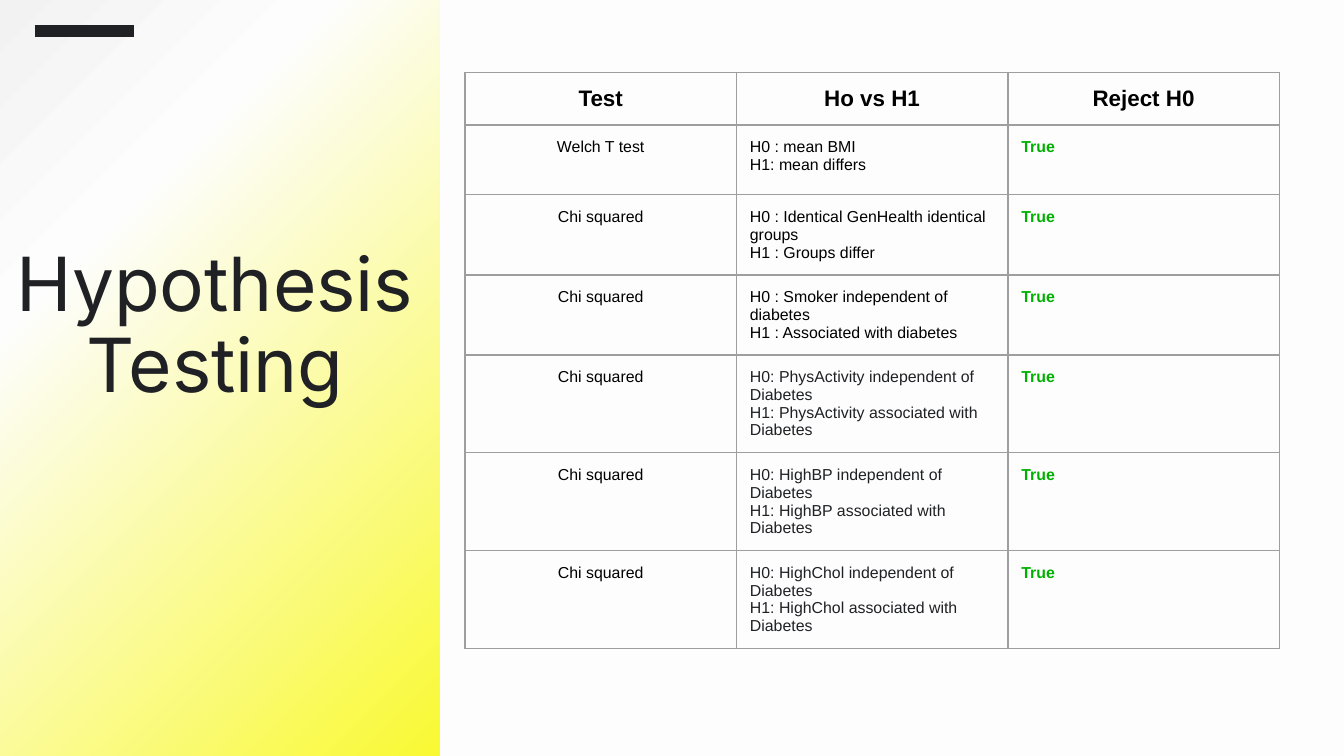
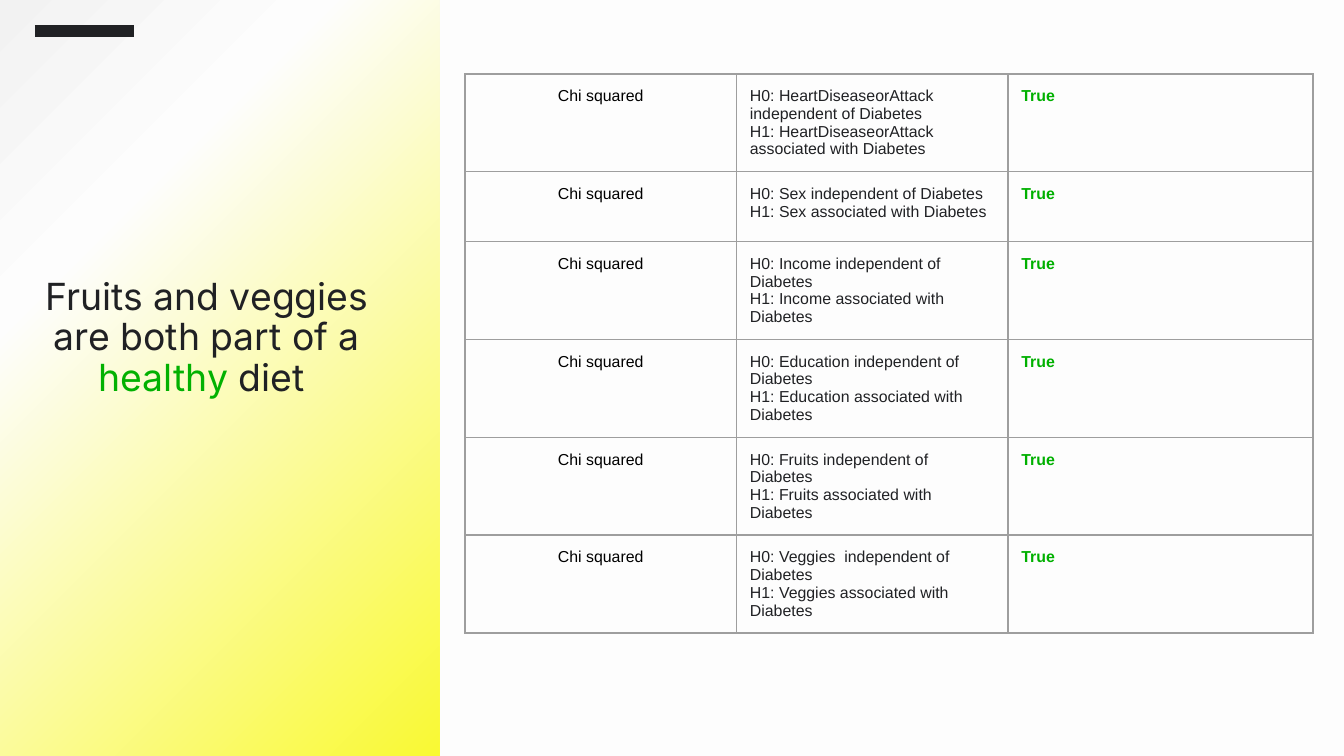
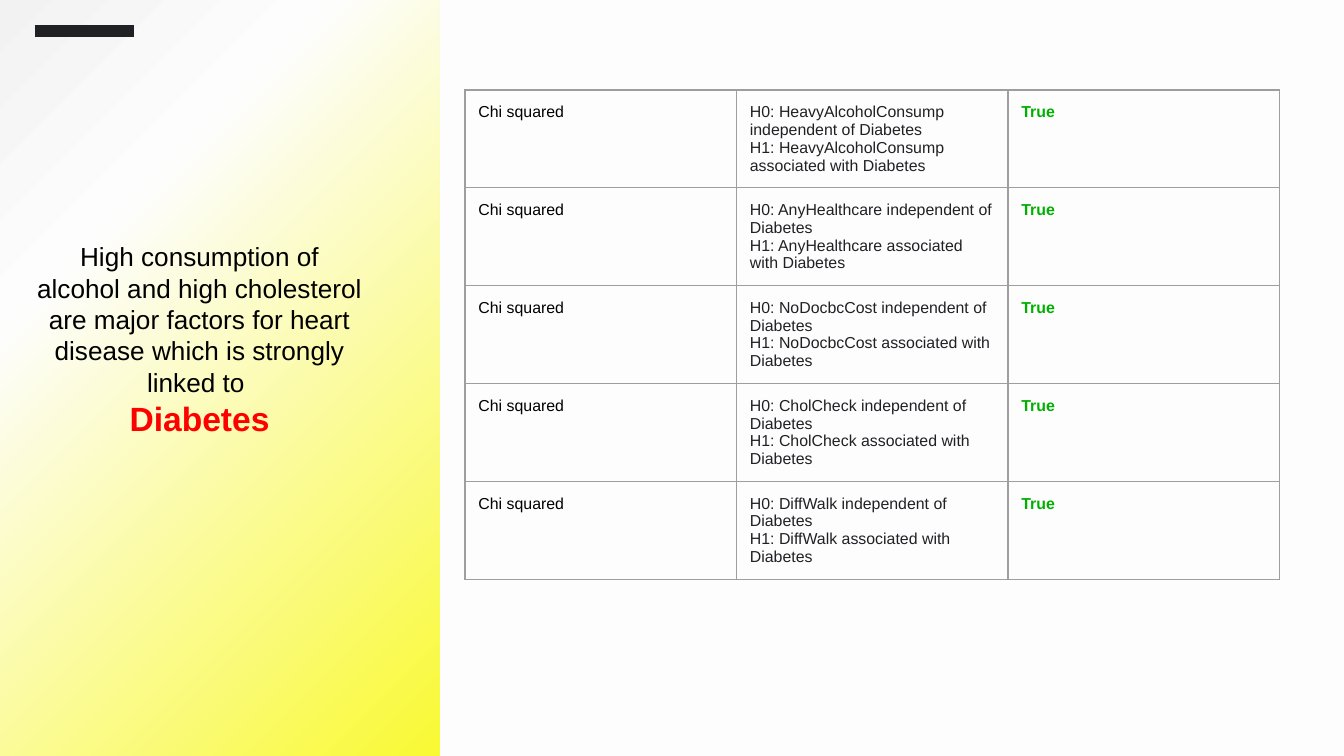
"""Build three hypothesis testing slides with result tables beside a gradient panel."""
import lxml.etree
import pptx
import pptx.dml.color
import pptx.enum.shapes
import pptx.enum.text
import pptx.oxml.ns
import pptx.util

Inches = pptx.util.Inches
Pt = pptx.util.Pt
qn = pptx.oxml.ns.qn
ALIGN = pptx.enum.text.PP_ALIGN

COLOURS = {
    "paper": "FDFDFD", "mist": "F2F2F2", "yellow": "F9F933", "ink": "202124",
    "black": "000000", "green": "00B000", "healthy": "02B101", "red": "FF0000",
    "grid": "9E9E9E",
}
PANEL_STOPS = [(0, "mist"), (28, "paper"), (100, "yellow")]
TITLE_FONT = "Inter"
BODY_FONT = "Arial"
COLUMN = 2.02
HEADER_HEIGHT = 0.39
ROW_HEIGHT = 0.52
HEADERS = ["Test", "Ho vs H1", "Reject H0"]


def child(parent, tag, **attributes):
    return lxml.etree.SubElement(parent, qn(tag), **attributes)


def associations(*factors):
    return [
        ("Chi squared",
         f"H0: {factor} independent of Diabetes\nH1: {factor} associated with Diabetes",
         "ink")
        for factor in factors
    ]


class SlideBuilder:
    def __init__(self):
        self.deck = pptx.Presentation()
        self.deck.slide_width = Inches(10)
        self.deck.slide_height = Inches(10 * 9 / 16)
        self.page = None

    def colour(self, name):
        return pptx.dml.color.RGBColor.from_string(COLOURS[name])

    def start_page(self, layout):
        self.page = self.deck.slides.add_slide(self.deck.slide_layouts.get_by_name(layout))
        for holder in list(self.page.placeholders):
            if holder != self.page.shapes.title:
                holder.element.getparent().remove(holder.element)
        background = self.page.background.fill
        background.solid()
        background.fore_color.rgb = self.colour("paper")
        self.panel()
        self.accent_bar()

    def panel(self):
        panel = self.page.shapes.add_shape(
            pptx.enum.shapes.MSO_SHAPE.RECTANGLE,
            Inches(-0.03), Inches(0), Inches(3.3), Inches(5.64))
        panel.shadow.inherit = False
        panel.line.fill.background()
        panel.fill.gradient()
        gradient = panel.element.spPr.find(qn("a:gradFill"))
        for part in list(gradient):
            gradient.remove(part)
        stops = child(gradient, "a:gsLst")
        for position, name in PANEL_STOPS:
            stop = child(stops, "a:gs", pos=str(position * 1000))
            child(stop, "a:srgbClr", val=COLOURS[name])
        child(gradient, "a:lin", ang="2700000", scaled="0")
        tree = self.page.shapes.element
        tree.remove(panel.element)
        tree.insert(2, panel.element)

    def accent_bar(self):
        bar = self.page.shapes.add_connector(
            pptx.enum.shapes.MSO_CONNECTOR.STRAIGHT,
            Inches(0.26), Inches(0.23), Inches(1), Inches(0.23))
        bar.line.color.rgb = self.colour("ink")
        bar.line.width = Pt(6)
        child(bar.element.spPr, "a:effectLst")

    def format_span(self, span, size, colour, font=BODY_FONT, bold=False):
        span.font.name = font
        span.font.size = Pt(size)
        span.font.bold = bold
        span.font.color.rgb = self.colour(colour)

    def title(self, at, size, spans):
        box = self.page.shapes.title
        box.left, box.top, box.width, box.height = map(Inches, at)
        frame = box.text_frame
        frame.word_wrap = True
        frame.auto_size = pptx.enum.text.MSO_AUTO_SIZE.NONE
        frame.vertical_anchor = pptx.enum.text.MSO_ANCHOR.TOP
        frame.margin_left = frame.margin_right = 0
        frame.margin_top = frame.margin_bottom = Inches(0.1)
        para = frame.paragraphs[0]
        para.alignment = ALIGN.CENTER
        para.line_spacing = 0.9
        for text, colour in spans:
            span = para.add_run()
            span.text = text
            self.format_span(span, size, colour, TITLE_FONT)

    def message(self, at, lines):
        frame = self.page.shapes.add_textbox(*map(Inches, at)).text_frame
        frame.word_wrap = True
        frame.margin_left = frame.margin_right = Inches(0.1)
        frame.margin_top = frame.margin_bottom = Inches(0.1)
        frame.text = "\n".join(text for text, *_ in lines)
        for para, (_, size, colour, bold) in zip(frame.paragraphs, lines):
            para.alignment = ALIGN.CENTER
            self.format_span(para.runs[0], size, colour, bold=bold)

    def cell(self, cell, text, size, colour, bold=False, align=ALIGN.LEFT):
        cell.margin_left = cell.margin_right = Inches(0.1)
        cell.margin_top = cell.margin_bottom = Inches(0.1)
        properties = cell._tc.get_or_add_tcPr()
        for side in "LRTB":
            border = child(properties, f"a:ln{side}", w=str(Pt(0.75)))
            child(child(border, "a:solidFill"), "a:srgbClr", val=COLOURS["grid"])
        cell.fill.background()
        cell.text_frame.text = text
        for para in cell.text_frame.paragraphs:
            para.alignment = align
            self.format_span(para.runs[0], size, colour, bold=bold)

    def results(self, top, tests, headers=(), last_column=COLUMN, test_align=ALIGN.CENTER):
        widths = [COLUMN, COLUMN, last_column]
        heights = [HEADER_HEIGHT] * bool(headers) + [ROW_HEIGHT] * len(tests)
        table = self.page.shapes.add_table(
            len(heights), len(widths), Inches(3.46), Inches(top),
            Inches(sum(widths)), Inches(sum(heights))).table
        table.first_row = table.horz_banding = False
        for column, width in zip(table.columns, widths):
            column.width = Inches(width)
        for row, height in zip(table.rows, heights):
            row.height = Inches(height)
        for index, header in enumerate(headers):
            self.cell(table.cell(0, index), header, 12, "black", True, ALIGN.CENTER)
        for index, (test, hypotheses, colour) in enumerate(tests, start=bool(headers)):
            self.cell(table.cell(index, 0), test, 8.5, "black", align=test_align)
            self.cell(table.cell(index, 1), hypotheses, 8.5, colour)
            self.cell(table.cell(index, 2), "True", 8.5, "green", True)


def main():
    builder = SlideBuilder()

    builder.start_page("Title Only")
    builder.title((0.06, 1.74, 3.08, 1.89), 40, [("Hypothesis Testing", "ink")])
    first_tests = [
        ("Welch T test", "H0 : mean BMI\nH1: mean differs", "black"),
        ("Chi squared",
         "H0 : Identical GenHealth identical groups\nH1 : Groups differ", "black"),
        ("Chi squared",
         "H0 : Smoker independent of diabetes\nH1 : Associated with diabetes", "black"),
    ]
    builder.results(
        0.54, first_tests + associations("PhysActivity", "HighBP", "HighChol"), HEADERS)

    builder.start_page("Title Only")
    builder.title((0.12, 1.97, 2.84, 1.3), 20, [
        ("Fruits and veggies are both part of a ", "ink"),
        ("healthy", "healthy"),
        (" diet ", "ink"),
    ])
    veggies_test = (
        "Chi squared",
        "H0: Veggies  independent of Diabetes\nH1: Veggies associated with Diabetes", "ink")
    builder.results(
        0.55,
        associations("HeartDiseaseorAttack", "Sex", "Income", "Education", "Fruits")
        + [veggies_test],
        last_column=2.27)

    builder.start_page("Blank")
    builder.results(
        0.67,
        associations("HeavyAlcoholConsump", "AnyHealthcare", "NoDocbcCost",
                     "CholCheck", "DiffWalk"),
        test_align=ALIGN.LEFT)
    builder.message((0.17, 1.69, 2.63, 1.48), [
        ("High consumption of alcohol and high cholesterol are major factors for heart "
         "disease which is strongly linked to ", 14, "black", False),
        ("Diabetes", 18, "red", True),
    ])

    builder.deck.save("out.pptx")


if __name__ == "__main__":
    main()
